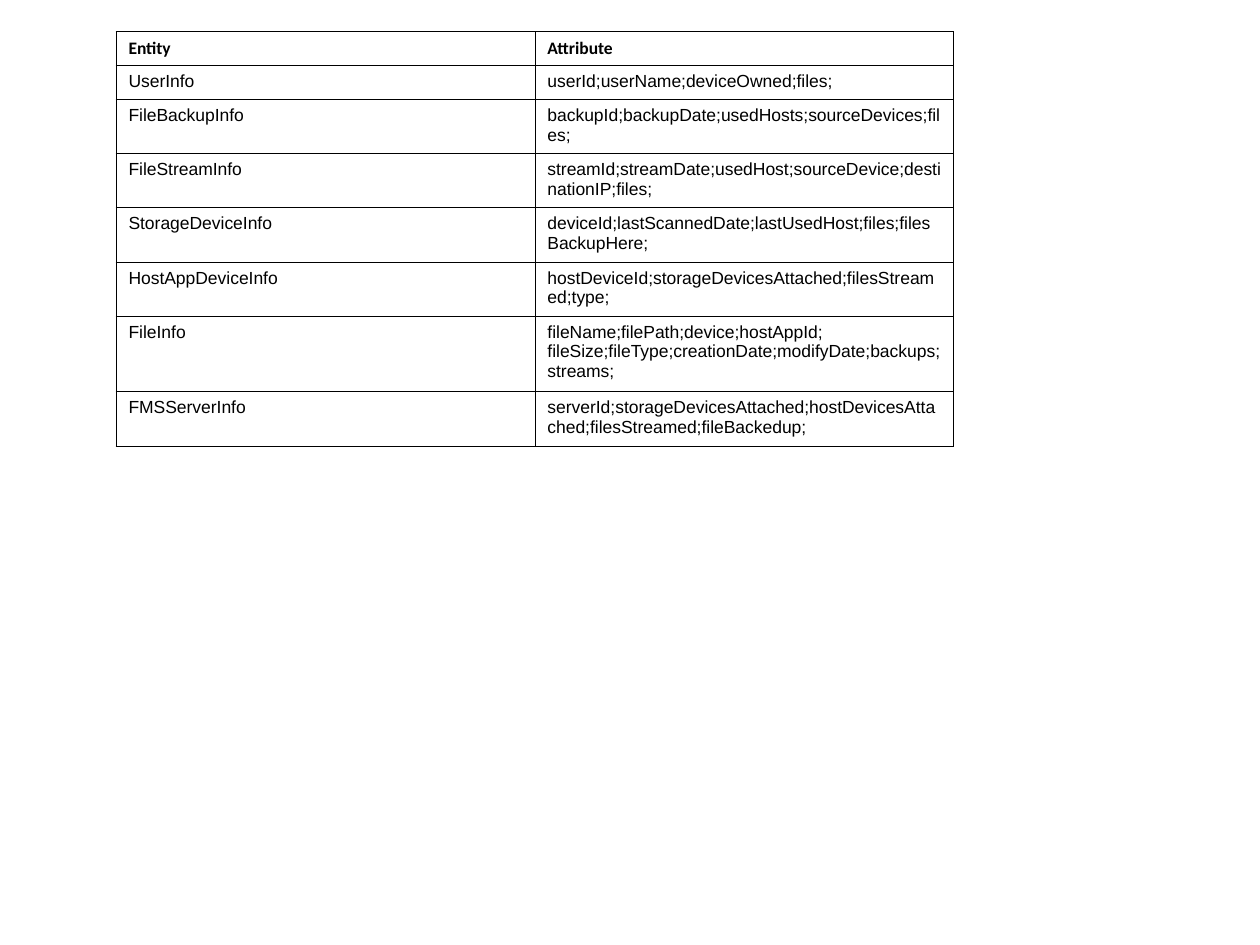
from pptx import Presentation
from pptx.dml.color import RGBColor
from pptx.oxml import parse_xml
from pptx.oxml.ns import nsdecls
from pptx.util import Inches, Pt

COLORS = {"text": "000000", "border": "000000", "cell": "FFFFFF"}
BORDER_WIDTH = Pt(0.45)
HEADER = ("Entity", "Attribute")
ENTITIES = [
    ("UserInfo", "userId;userName;deviceOwned;files;"),
    ("FileBackupInfo", "backupId;backupDate;usedHosts;sourceDevices;files;"),
    ("FileStreamInfo",
     "streamId;streamDate;usedHost;sourceDevice;destinationIP;files;"),
    ("StorageDeviceInfo",
     "deviceId;lastScannedDate;lastUsedHost;files;filesBackupHere;"),
    ("HostAppDeviceInfo",
     "hostDeviceId;storageDevicesAttached;filesStreamed;type;"),
    ("FileInfo",
     "fileName;filePath;device;hostAppId; "
     "fileSize;fileType;creationDate;modifyDate;backups;streams;"),
    ("FMSServerInfo",
     "serverId;storageDevicesAttached;hostDevicesAttached;"
     "filesStreamed;fileBackedup;"),
]
# Row height by the number of text lines in the row
ROW_HEIGHTS = {1: 0.27, 2: 0.43, 3: 0.6}
ROW_LINES = [1, 1, 2, 2, 2, 2, 3, 2]


def set_borders(cell):
    properties = cell._tc.get_or_add_tcPr()
    for side in ("lnL", "lnR", "lnT", "lnB"):
        properties.append(parse_xml(
            f'<a:{side} {nsdecls("a")} w="{BORDER_WIDTH}"><a:solidFill>'
            f'<a:srgbClr val="{COLORS["border"]}"/></a:solidFill></a:{side}>'))


def fill_cell(cell, text, is_header):
    set_borders(cell)
    cell.fill.solid()
    cell.fill.fore_color.rgb = RGBColor.from_string(COLORS["cell"])
    cell.margin_left = cell.margin_right = Inches(0.1)
    cell.margin_top = cell.margin_bottom = Inches(0.05)
    cell.text_frame.text = text
    font = cell.text_frame.paragraphs[0].runs[0].font
    font.name = "Calibri" if is_header else "Arial"
    font.size = Pt(10)
    font.bold = is_header
    font.color.rgb = RGBColor.from_string(COLORS["text"])


def add_entity_table(slide):
    rows = [HEADER, *ENTITIES]
    heights = [Inches(ROW_HEIGHTS[lines]) for lines in ROW_LINES]
    table = slide.shapes.add_table(
        len(rows), len(HEADER), Inches(0.92), Inches(0.25),
        Inches(6.65), sum(heights)).table
    table.first_row = False
    table.horz_banding = False
    for row_index, (texts, height) in enumerate(zip(rows, heights)):
        table.rows[row_index].height = height
        for column_index, text in enumerate(texts):
            fill_cell(table.cell(row_index, column_index), text, row_index == 0)


def main():
    presentation = Presentation()
    presentation.slide_width = Inches(10)
    presentation.slide_height = Inches(7.5)
    slide = presentation.slides.add_slide(presentation.slide_layouts[6])
    # Entities and their attributes
    add_entity_table(slide)
    presentation.save("out.pptx")


if __name__ == "__main__":
    main()
